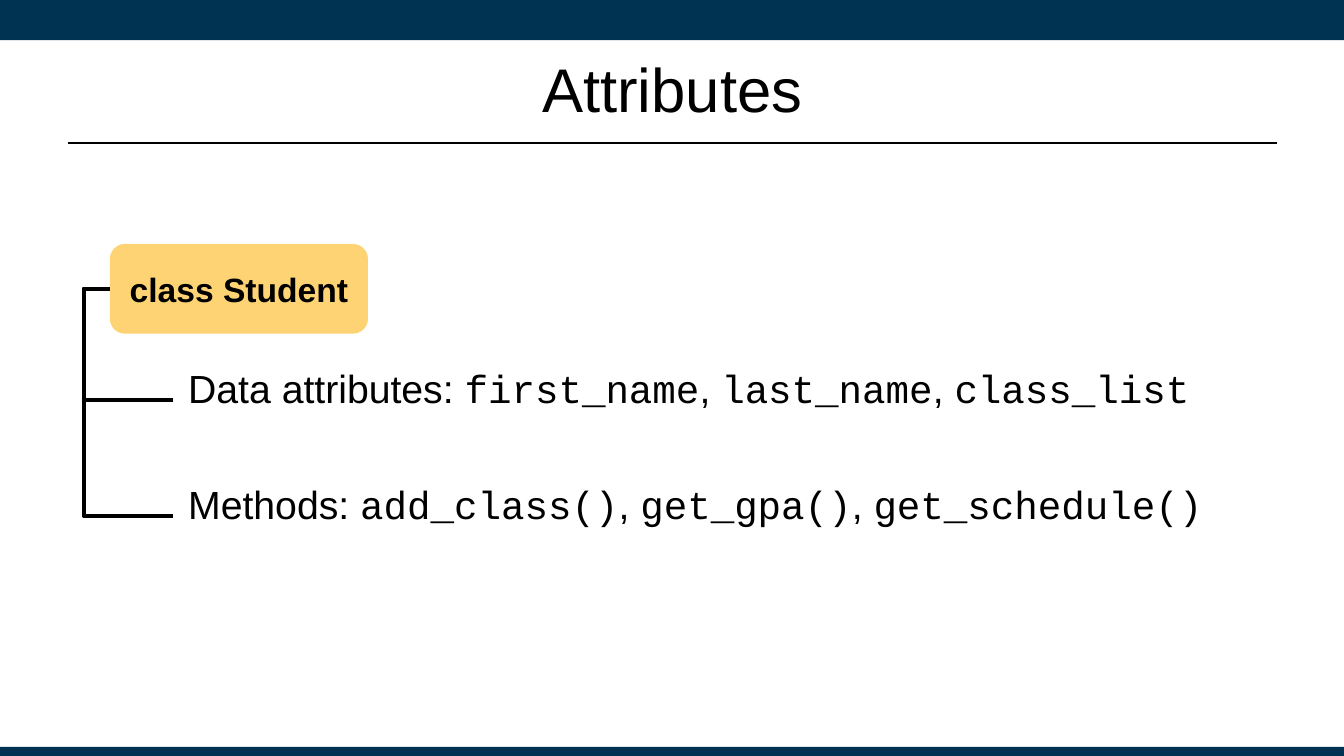
from lxml.etree import SubElement
from pptx import Presentation
from pptx.dml.color import RGBColor
from pptx.enum.shapes import MSO_CONNECTOR, MSO_SHAPE
from pptx.enum.text import MSO_ANCHOR, PP_ALIGN
from pptx.oxml.ns import qn
from pptx.util import Inches, Pt

# Content
TITLE = "Attributes"
CLASS_NAME = "class Student"
MEMBERS = [
    ("Data attributes:\u00a0".replace("\u00a0", chr(160)), ["first_name", "last_name", "class_list"]),
    ("Methods:" + chr(160), ["add_class()", "get_gpa()", "get_schedule()"]),
]
MEMBERS[0] = ("Data attributes:" + chr(160), MEMBERS[0][1])

# Style
NAVY = RGBColor(0x00, 0x32, 0x52)
YELLOW = RGBColor(0xFE, 0xD3, 0x73)
BLACK = RGBColor(0, 0, 0)
TEXT_FONT, CODE_FONT = "Arial", "Courier New"

# Layout in inches
WIDTH, HEIGHT = 13.33, 7.5
BANDS = [(0, 0.4), (7.41, 0.09)]
CLASS_LEFT, CLASS_TOP, CLASS_WIDTH, CLASS_HEIGHT = 1.09, 2.42, 2.56, 0.89
ROW_LEFT, ROW_TOP, ROW_WIDTH, ROW_HEIGHT, ROW_STEP = 1.72, 3.47, 10.53, 1, 1.15
TRUNK_X = 0.83

presentation = Presentation()
presentation.slide_width, presentation.slide_height = Inches(WIDTH), Inches(HEIGHT)
slide = presentation.slides.add_slide(presentation.slide_layouts[5])


def add_box(kind, left, top, width, height, fill=None):
    shape = slide.shapes.add_shape(
        kind, Inches(left), Inches(top), Inches(width), Inches(height))
    shape.shadow.inherit = False
    shape.line.fill.background()
    if fill is None:
        shape.fill.background()
    else:
        shape.fill.solid()
        shape.fill.fore_color.rgb = fill
    return shape


def set_margins(frame, side, end):
    frame.margin_left = frame.margin_right = Inches(side)
    frame.margin_top = frame.margin_bottom = Inches(end)
    frame.word_wrap = True


def add_run(paragraph, text, size, font=TEXT_FONT, bold=False):
    run = paragraph.add_run()
    run.text = text
    run.font.name, run.font.size, run.font.bold = font, Pt(size), bold
    run.font.color.rgb = BLACK


def add_line(kind, start, end, weight):
    connector = slide.shapes.add_connector(kind, *map(Inches, start + end))
    connector.line.color.rgb = BLACK
    connector.line.width = Pt(weight)
    SubElement(connector._element.spPr, qn("a:effectLst"))
    return connector


# Bands and title rule
for top, height in BANDS:
    add_box(MSO_SHAPE.RECTANGLE, 0, top, WIDTH, height, NAVY)
add_line(MSO_CONNECTOR.STRAIGHT, (0.67, 1.42), (12.67, 1.42), 1.25)

# Title
title = slide.shapes.title
title.left, title.top = Inches(0.67), Inches(0.25)
title.width, title.height = Inches(12), Inches(1.25)
set_margins(title.text_frame, 0.1, 0.05)
title.text_frame.vertical_anchor = MSO_ANCHOR.MIDDLE
title.text_frame.paragraphs[0].alignment = PP_ALIGN.CENTER
add_run(title.text_frame.paragraphs[0], TITLE, 44)

# Class box
class_box = add_box(MSO_SHAPE.ROUNDED_RECTANGLE, CLASS_LEFT, CLASS_TOP,
                    CLASS_WIDTH, CLASS_HEIGHT, YELLOW)
set_margins(class_box.text_frame, 0.1, 0.1)
class_box.text_frame.vertical_anchor = MSO_ANCHOR.MIDDLE
class_box.text_frame.paragraphs[0].alignment = PP_ALIGN.CENTER
add_run(class_box.text_frame.paragraphs[0], CLASS_NAME, 24, bold=True)

# Member rows, each joined to the class box
for index, (label, names) in enumerate(MEMBERS):
    top = ROW_TOP + index * ROW_STEP
    row = add_box(MSO_SHAPE.ROUNDED_RECTANGLE, ROW_LEFT, top, ROW_WIDTH, ROW_HEIGHT)
    set_margins(row.text_frame, 0.1, 0.1)
    row.text_frame.vertical_anchor = MSO_ANCHOR.TOP
    paragraph = row.text_frame.paragraphs[0]
    paragraph.alignment = PP_ALIGN.LEFT
    add_run(paragraph, label, 28)
    for position, name in enumerate(names):
        if position:
            add_run(paragraph, ", ", 28)
        add_run(paragraph, name, 28, CODE_FONT)

    branch = add_line(MSO_CONNECTOR.ELBOW, (CLASS_LEFT, CLASS_TOP + CLASS_HEIGHT / 2),
                      (ROW_LEFT, top + ROW_HEIGHT / 2), 3)
    bend = round((TRUNK_X - CLASS_LEFT) / (ROW_LEFT - CLASS_LEFT) * 100000)
    geometry = branch._element.spPr.find(qn("a:prstGeom"))
    adjustments = geometry.find(qn("a:avLst"))
    if adjustments is None:
        adjustments = SubElement(geometry, qn("a:avLst"))
    SubElement(adjustments, qn("a:gd"), name="adj1", fmla=f"val {bend}")

presentation.save("out.pptx")
